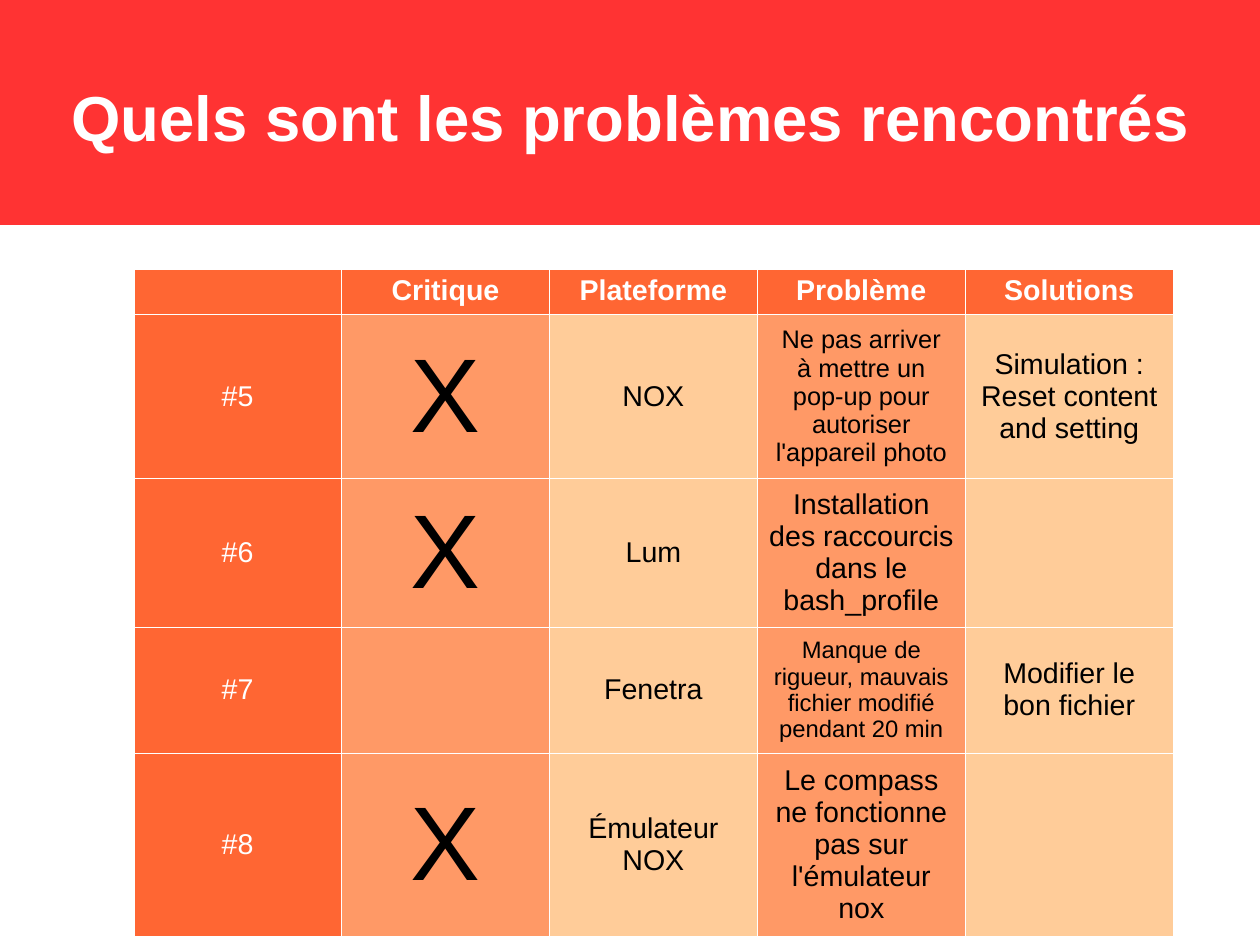
import pptx
import pptx.dml.color
import pptx.enum.shapes
import pptx.enum.text
import pptx.util
from lxml import etree
from pptx.util import Cm

RGBColor = pptx.dml.color.RGBColor
Align = pptx.enum.text.PP_ALIGN
Anchor = pptx.enum.text.MSO_ANCHOR

RED = RGBColor(0xFF, 0x33, 0x33)
DEEP_ORANGE = RGBColor(0xFF, 0x66, 0x33)
ORANGE = RGBColor(0xFF, 0x99, 0x66)
PEACH = RGBColor(0xFF, 0xCC, 0x99)
WHITE = RGBColor(0xFF, 0xFF, 0xFF)
BLACK = RGBColor(0, 0, 0)

DRAWING = "{http://schemas.openxmlformats.org/drawingml/2006/main}"

PROBLEMS = [
    ["", "Critique", "Plateforme", "Problème", "Solutions"],
    ["#5", "X", "NOX", "Ne pas arriver\nà mettre un\npop-up pour autoriser l'appareil photo",
     "Simulation : Reset content and setting"],
    ["#6", "X", "Lum", "Installation des raccourcis dans le bash_profile", ""],
    ["#7", "", "Fenetra", "Manque de rigueur, mauvais fichier modifié pendant 20 min",
     "Modifier le bon fichier"],
    ["#8", "X", "Émulateur NOX", "Le compass ne fonctionne pas sur l'émulateur nox", ""],
]
ROW_HEIGHTS = [1.02, 3.64, 3.29, 2.8, 3.3]
COLUMN_WIDTH = 4.62
COLUMN_FILLS = [DEEP_ORANGE, ORANGE, PEACH, ORANGE, PEACH]
SPECIAL_SIZES = {(1, 1): 66, (2, 1): 66, (4, 1): 66, (1, 3): 16, (3, 3): 15}


class SlideBuilder:
    font = "Arial"
    border_width = pptx.util.Pt(0.06)

    def __init__(self, slide):
        self.slide = slide

    def set_text(self, frame, text, size, color, bold=False):
        frame.text = text
        for para in frame.paragraphs:
            para.alignment = Align.CENTER
            para.font.size = pptx.util.Pt(size)
            for span in para.runs:
                span.font.name = self.font
                span.font.size = pptx.util.Pt(size)
                span.font.bold = bold
                span.font.color.rgb = color

    def band(self, left, top, width, height, color):
        shape = self.slide.shapes.add_shape(
            pptx.enum.shapes.MSO_SHAPE.RECTANGLE, Cm(left), Cm(top), Cm(width), Cm(height))
        shape.shadow.inherit = False
        shape.fill.solid()
        shape.fill.fore_color.rgb = color
        shape.line.fill.background()

    def title(self, left, top, width, height, text):
        box = self.slide.shapes.add_textbox(Cm(left), Cm(top), Cm(width), Cm(height))
        frame = box.text_frame
        frame.word_wrap = True
        frame.vertical_anchor = Anchor.MIDDLE
        frame.margin_left = frame.margin_right = frame.margin_top = frame.margin_bottom = 0
        self.set_text(frame, text, 40, WHITE, bold=True)

    def borders(self, cell, color):
        properties = cell._tc.get_or_add_tcPr()
        for side in ("lnL", "lnR", "lnT", "lnB"):
            line = etree.SubElement(properties, DRAWING + side, w=str(int(self.border_width)))
            fill = etree.SubElement(line, DRAWING + "solidFill")
            etree.SubElement(fill, DRAWING + "srgbClr", val=str(color))

    def table(self, left, top, rows):
        columns = len(rows[0])
        table = self.slide.shapes.add_table(
            len(rows), columns, Cm(left), Cm(top),
            Cm(COLUMN_WIDTH * columns), Cm(sum(ROW_HEIGHTS))).table
        table.first_row = table.horz_banding = False
        for column in table.columns:
            column.width = Cm(COLUMN_WIDTH)
        for row_index, texts in enumerate(rows):
            table.rows[row_index].height = Cm(ROW_HEIGHTS[row_index])
            header = row_index == 0
            for column_index, text in enumerate(texts):
                cell = table.cell(row_index, column_index)
                cell.vertical_anchor = Anchor.TOP if header else Anchor.MIDDLE
                self.borders(cell, WHITE)
                cell.fill.solid()
                cell.fill.fore_color.rgb = DEEP_ORANGE if header else COLUMN_FILLS[column_index]
                color = WHITE if header or column_index == 0 else BLACK
                size = SPECIAL_SIZES.get((row_index, column_index), 18)
                self.set_text(cell.text_frame, text, size, color, bold=header)


def main():
    deck = pptx.Presentation()
    deck.slide_width, deck.slide_height = Cm(28), Cm(21)
    page = SlideBuilder(deck.slides.add_slide(deck.slide_layouts[6]))
    page.band(0, 0, 28, 5, RED)
    page.title(1.4, 0.84, 25.2, 3.5, "Quels sont les problèmes rencontrés")
    page.table(2.97, 5.97, PROBLEMS)
    deck.save("out.pptx")


if __name__ == "__main__":
    main()
